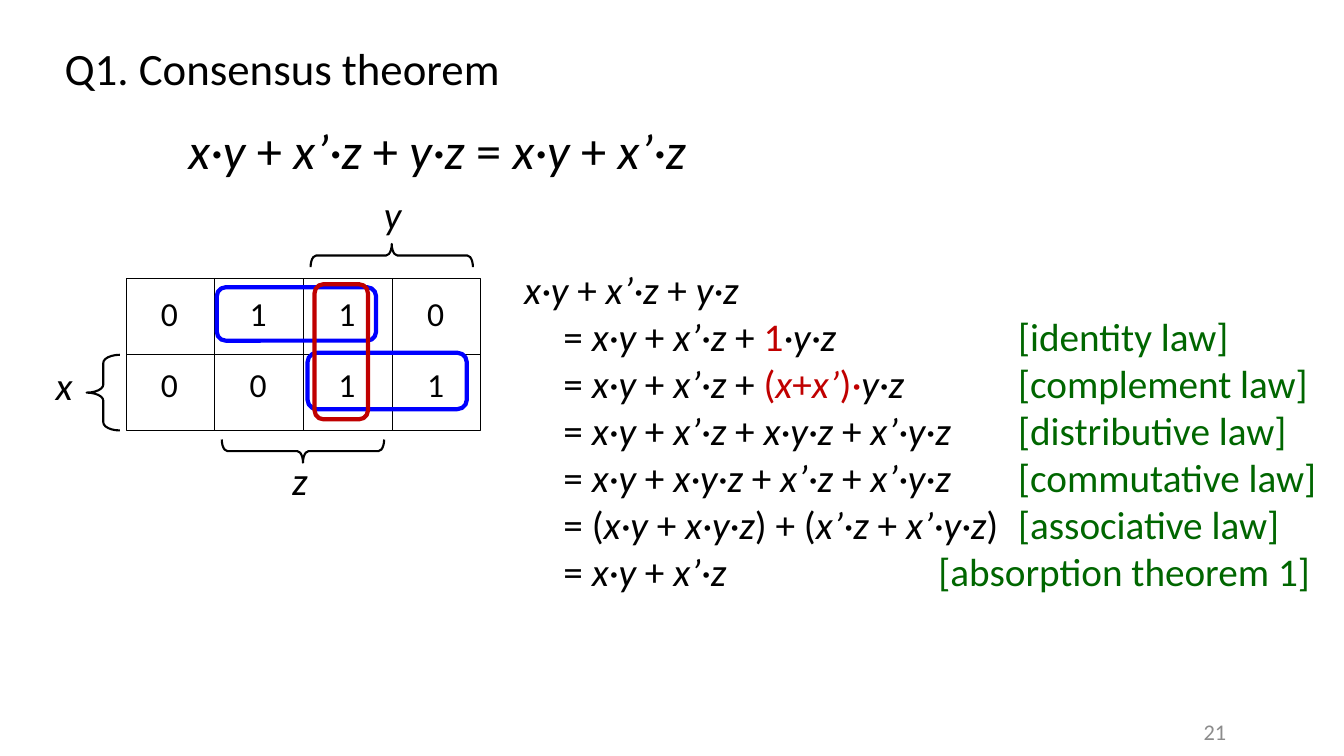
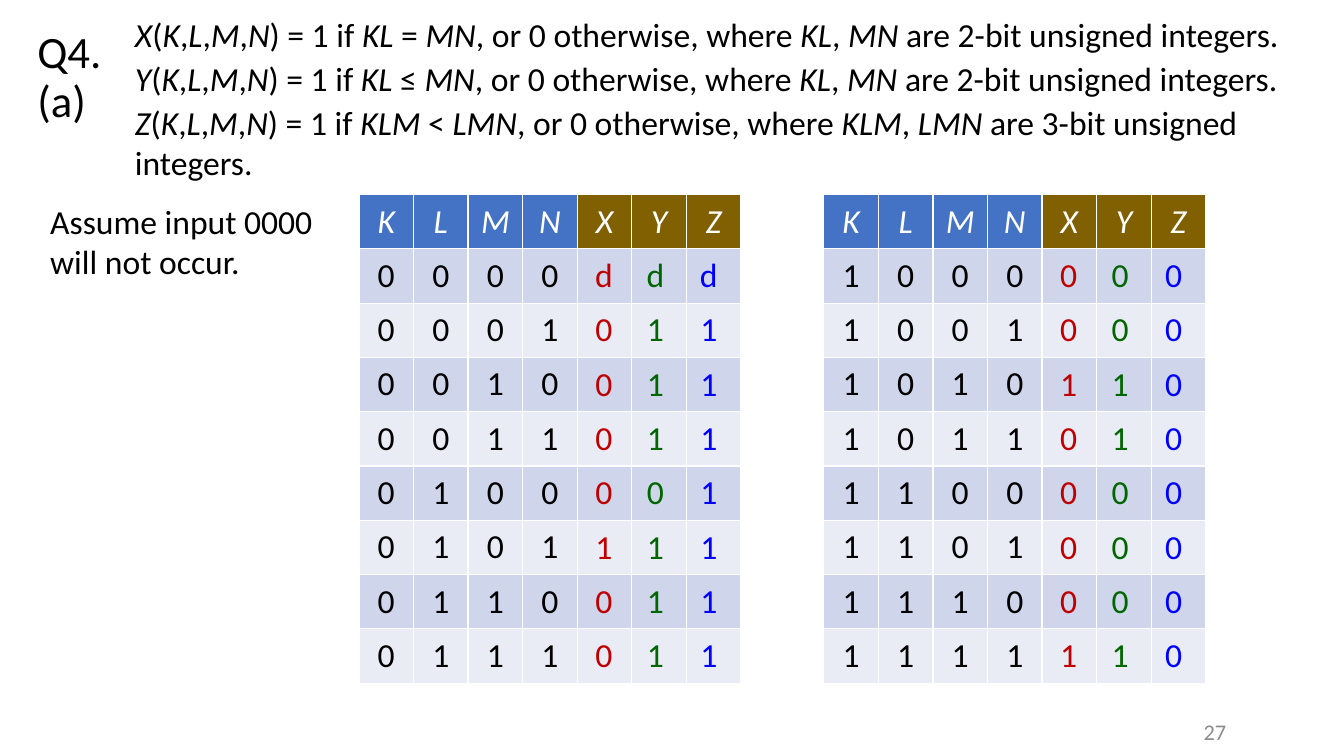
import itertools

import pptx
import pptx.dml.color
import pptx.enum.shapes
import pptx.enum.text
import pptx.oxml.ns
import pptx.util
from lxml import etree

Inches = pptx.util.Inches
SHAPE = pptx.enum.shapes.MSO_SHAPE
ALIGN = pptx.enum.text.PP_ALIGN
ANCHOR = pptx.enum.text.MSO_ANCHOR

FONT = "Calibri"
BLACK, WHITE, GREY = "000000", "FFFFFF", "8C8C8C"
RED, GREEN, BLUE = "C00000", "006600", "0000FF"
INPUT_HEAD, OUTPUT_HEAD = "4472C4", "806000"
ROW_FILLS = ("CFD5EA", "E9EBF5")
ITALIC_CHARS = "xyz’·KLMNXYZ"

THEOREM = "x·y + x’·z + y·z = x·y + x’·z"
FIRST_LINE = "x·y + x’·z + y·z"
FIRST_TAB, LAW_TAB, LONG_LAW_TAB = 0.39, 4.9, 4.11
PROOF = [
    ("x·y + x’·z + ~1~·y·z", "[identity law]", LAW_TAB),
    ("x·y + x’·z + ~(x+x’)·~y·z", "[complement law]", LAW_TAB),
    ("x·y + x’·z + x·y·z + x’·y·z", "[distributive law]", LAW_TAB),
    ("x·y + x·y·z + x’·z + x’·y·z", "[commutative law]", LAW_TAB),
    ("(x·y + x·y·z) + (x’·z + x’·y·z)", "[associative law]", LAW_TAB),
    ("x·y + x’·z", "[absorption theorem 1]", LONG_LAW_TAB),
]
KMAP = ["0110", "0011"]
KMAP_LEFT, KMAP_TOP, KMAP_W, KMAP_H = 1.25, 2.76, 0.88, 0.755
KMAP_TEXT_TOPS = (2.86, 3.56)
KMAP_LABELS = [("z", 2.63, 4.48), ("x", 0.29, 3.54), ("y", 3.55, 1.84)]
BRACES = [
    ((0.86, 3.52, 0.33, 0.75), 0),
    ((3.77, 1.73, 0.23, 1.61), 90),
    ((2.89, 3.67, 0.23, 1.61), 270),
]
LOOPS = [
    ((2.15, 2.85, 1.58, 0.53), BLUE),
    ((3.05, 3.5, 1.58, 0.56), BLUE),
    ((3.12, 2.82, 0.53, 1.34), RED),
]

DEFINITIONS = [
    ("X(K,L,M,N) = 1 if KL = MN, or 0 otherwise, where KL, MN are 2-bit unsigned integers.", 0.09, 0.5),
    ("Y(K,L,M,N) = 1 if KL ≤ MN, or 0 otherwise, where KL, MN are 2-bit unsigned integers.", 0.53, 0.5),
    ("Z(K,L,M,N) = 1 if KLM < LMN, or 0 otherwise, where KLM, LMN are 3-bit unsigned integers.", 0.96, 0.91),
]
HEADERS = "KLMNXYZ"
INPUT_COUNT, ROW_COUNT = 4, 8
TABLE_TOP, TABLE_W, TABLE_H = 1.93, 3.79, 4.85
TRUTH_TABLES = [
    (3.56, 0, ("d0000100", "d1110111", "d1111111")),
    (8.17, 8, ("00100001", "00110001", "00000000")),
]
OUTPUT_COLUMNS = [(2.09, RED), (2.6, GREEN), (3.13, BLUE)]


def rgb(color):
    return pptx.dml.color.RGBColor.from_string(color)


def style(r, size, color=BLACK, italic=False):
    r.font.name = FONT
    r.font.size = pptx.util.Pt(size)
    r.font.color.rgb = rgb(color)
    r.font.italic = italic
    r.font.bold = False


def add_run(p, text, size, color=BLACK, italic=False):
    r = p.add_run()
    r.text = text
    style(r, size, color, italic)


def add_formula(p, text, size):
    for i, part in enumerate(text.split("~")):
        color = RED if i % 2 else BLACK
        for italic, chars in itertools.groupby(part, lambda ch: ch in ITALIC_CHARS):
            add_run(p, "".join(chars), size, color, italic)


def add_box(s, box, align=ALIGN.LEFT):
    tf = s.shapes.add_textbox(*map(Inches, box)).text_frame
    tf.word_wrap = True
    tf.paragraphs[0].alignment = align
    return tf


def add_text(s, box, text, size, color=BLACK, align=ALIGN.LEFT, italic=False):
    tf = add_box(s, box, align)
    add_run(tf.paragraphs[0], text, size, color, italic)
    return tf


def add_outline(s, kind, box, color, width):
    sp = s.shapes.add_shape(kind, *map(Inches, box))
    sp.shadow.inherit = False
    sp.fill.background()
    sp.line.color.rgb = rgb(color)
    sp.line.width = pptx.util.Pt(width)
    return sp


def set_tabs(p, stops):
    qn = pptx.oxml.ns.qn
    tabs = etree.SubElement(p._p.get_or_add_pPr(), qn("a:tabLst"))
    for stop in stops:
        etree.SubElement(tabs, qn("a:tab"), pos=str(Inches(stop)), algn="l")


def add_slide(prs, title, box, number):
    s = prs.slides.add_slide(prs.slide_layouts[5])
    sp = s.shapes.title
    sp.left, sp.top, sp.width, sp.height = map(Inches, box)
    tf = sp.text_frame
    tf.text = title
    tf.word_wrap = True
    tf.auto_size = pptx.enum.text.MSO_AUTO_SIZE.NONE
    tf.vertical_anchor = ANCHOR.TOP
    p = tf.paragraphs[0]
    p.alignment = ALIGN.LEFT
    p.line_spacing = 0.9
    style(p.runs[0], 32)
    tf = add_text(s, (10.83, 7.06, 1.43, 0.4), number, 16, GREY, ALIGN.RIGHT)
    tf.vertical_anchor = ANCHOR.MIDDLE
    return s


def add_kmap(s):
    for row, values in enumerate(KMAP):
        for col, value in enumerate(values):
            left = KMAP_LEFT + col * KMAP_W
            box = (left, KMAP_TOP + row * KMAP_H, KMAP_W, KMAP_H)
            add_outline(s, SHAPE.RECTANGLE, box, BLACK, 0.75)
            add_text(s, (left - 0.09, KMAP_TEXT_TOPS[row], 1.04, 0.5), value, 24, align=ALIGN.CENTER)
    for label, left, top in KMAP_LABELS:
        add_text(s, (left, top, 0.69, 0.57), label, 28, align=ALIGN.CENTER, italic=True)
    for box, angle in BRACES:
        sp = add_outline(s, SHAPE.LEFT_BRACE, box, BLACK, 1.5)
        sp.adjustments[0] = 0.243
        sp.rotation = angle
    for box, color in LOOPS:
        add_outline(s, SHAPE.ROUNDED_RECTANGLE, box, color, 3)


def add_proof(s):
    tf = add_box(s, (5.1, 2.58, 8.24, 3.4))
    add_formula(tf.paragraphs[0], FIRST_LINE, 28)
    for formula, law, law_tab in PROOF:
        p = tf.add_paragraph()
        set_tabs(p, (FIRST_TAB, law_tab))
        add_formula(p, "\t= " + formula + "\t", 28)
        add_run(p, law, 28, GREEN)


def fill_cell(cell, text, fill, color=BLACK, italic=False):
    cell.fill.solid()
    cell.fill.fore_color.rgb = rgb(fill)
    cell.vertical_anchor = ANCHOR.MIDDLE
    p = cell.text_frame.paragraphs[0]
    p.alignment = ALIGN.CENTER
    if text:
        add_run(p, text, 24, color, italic)


def add_truth_table(s, left, first, outputs):
    box = (left, TABLE_TOP, TABLE_W, TABLE_H)
    table = s.shapes.add_table(ROW_COUNT + 1, len(HEADERS), *map(Inches, box)).table
    for col, name in enumerate(HEADERS):
        fill = INPUT_HEAD if col < INPUT_COUNT else OUTPUT_HEAD
        fill_cell(table.cell(0, col), name, fill, WHITE, True)
    for row in range(ROW_COUNT):
        bits = format(first + row, "04b")
        for col in range(len(HEADERS)):
            fill_cell(table.cell(row + 1, col), bits[col:col + 1], ROW_FILLS[row % 2])
    for (offset, color), values in zip(OUTPUT_COLUMNS, outputs):
        tf = add_box(s, (left + offset, 2.47, 0.68, 4.31))
        tf.text = "\n".join(values)
        for p in tf.paragraphs:
            p.alignment = ALIGN.CENTER
            p.space_after = pptx.util.Pt(10)
            style(p.runs[0], 24, color)


def main():
    prs = pptx.Presentation()
    prs.slide_width, prs.slide_height = Inches(13.33), Inches(7.5)

    s = add_slide(prs, "Q1. Consensus theorem", (0.54, 0.41, 5.87, 0.72), "21")
    tf = add_box(s, (1.31, 1.13, 6.05, 0.71), ALIGN.CENTER)
    add_formula(tf.paragraphs[0], THEOREM, 36)
    add_kmap(s)
    add_proof(s)

    s = add_slide(prs, "Q4. (a)", (0.27, 0.25, 0.97, 1.17), "27")
    for text, top, height in DEFINITIONS:
        tf = add_box(s, (1.24, top, 11.57, height))
        add_formula(tf.paragraphs[0], text, 24)
    add_text(s, (0.4, 1.94, 2.97, 0.91), "Assume input 0000 will not occur.", 24)
    for left, first, outputs in TRUTH_TABLES:
        add_truth_table(s, left, first, outputs)

    prs.save("out.pptx")


if __name__ == "__main__":
    main()
